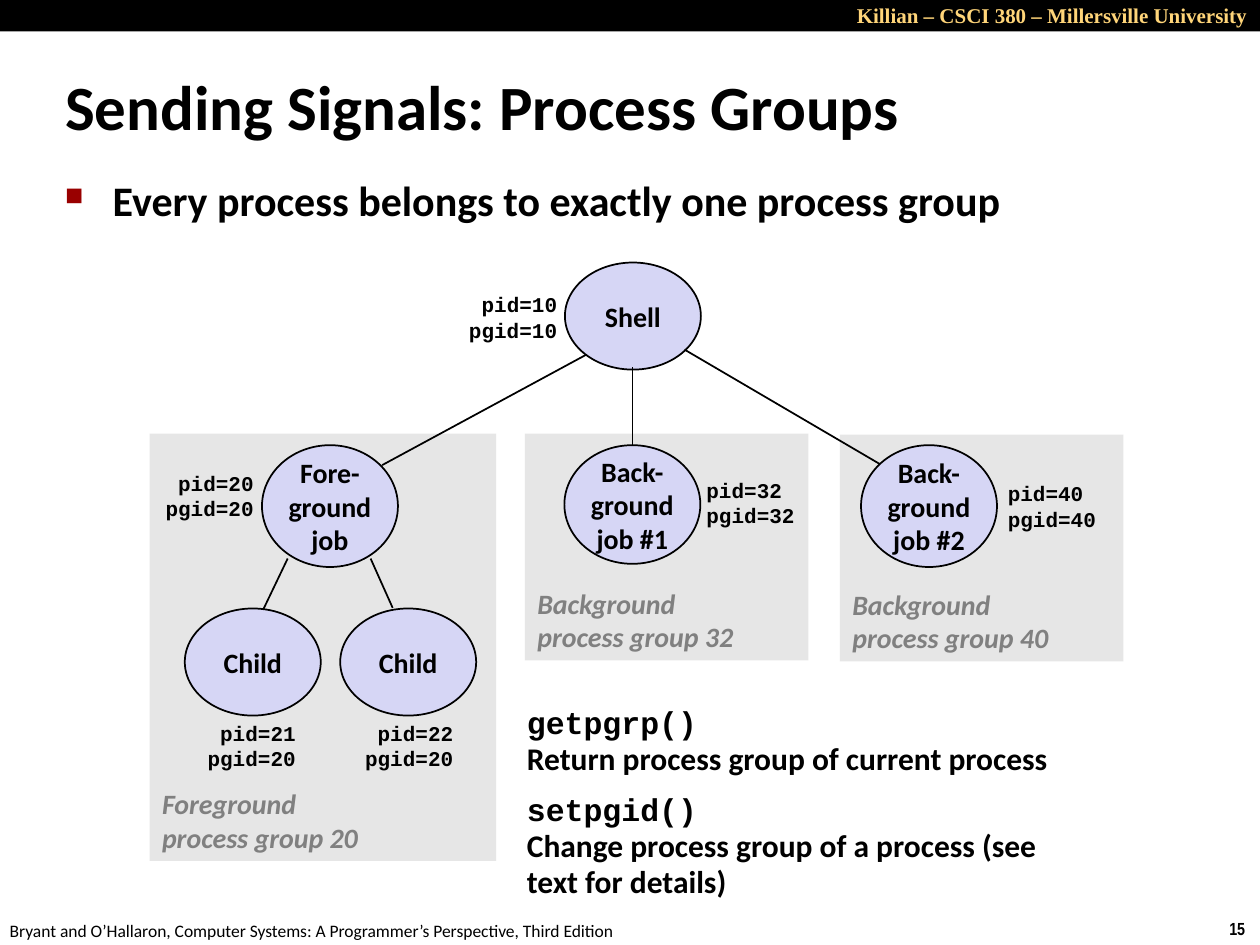
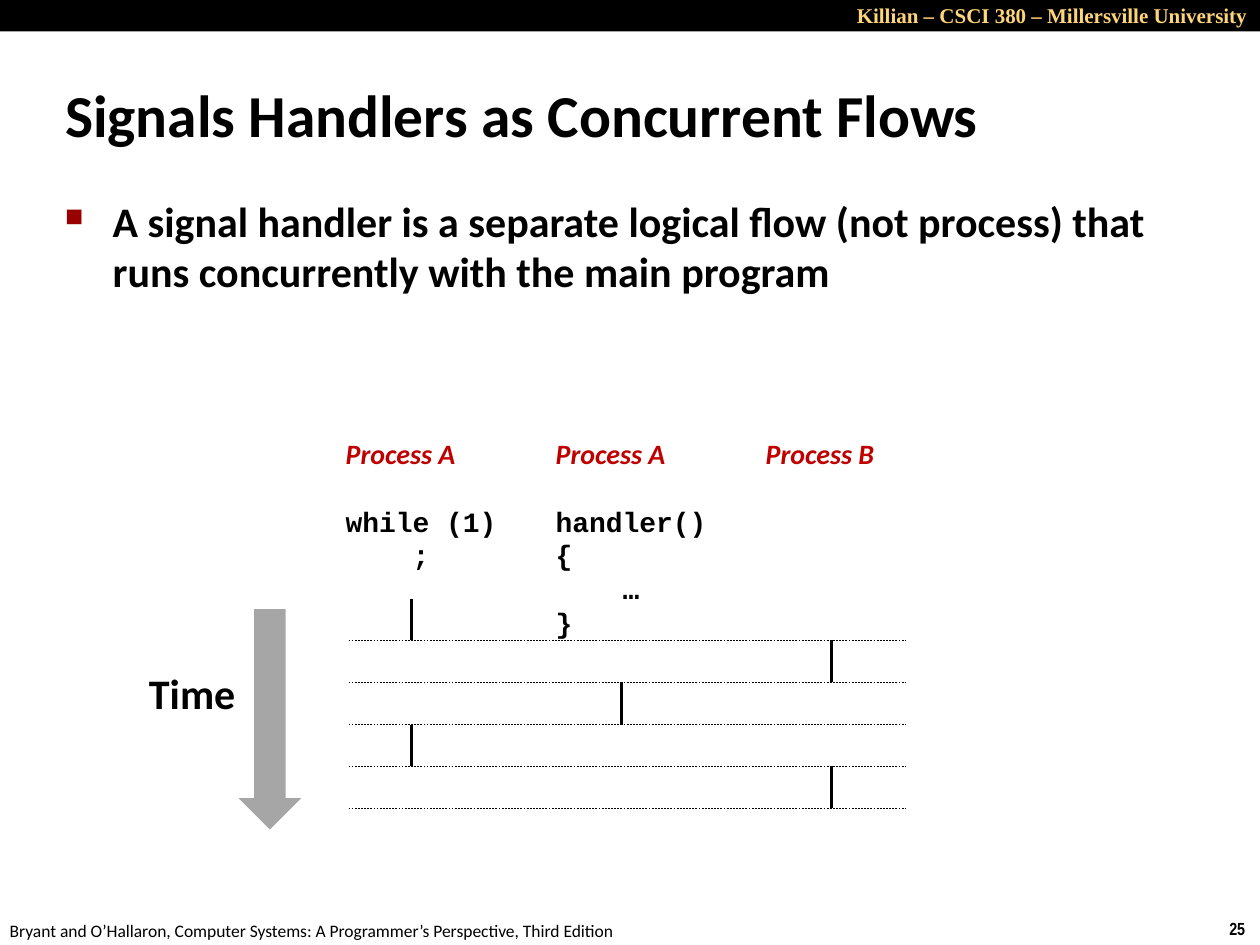
from lxml.etree import SubElement
from pptx import Presentation
from pptx.dml.color import RGBColor
from pptx.enum.dml import MSO_LINE
from pptx.enum.shapes import MSO_CONNECTOR, MSO_SHAPE as Preset
from pptx.enum.text import MSO_ANCHOR as Anchor, PP_ALIGN as Align
from pptx.oxml.ns import qn
from pptx.util import Inches, Pt

COLUMNS, ROWS = 120, 90
WIDTH, HEIGHT = Inches(10), Inches(7.5)
SANS, MONO, SERIF, NARROW = "Calibri", "Courier New", "Times New Roman", "Arial Narrow"
BLACK, GOLD, RED, BULLET_RED = "000000", "FFD579", "C00000", "990000"
LAVENDER, PANEL, GRAY, ARROW_GRAY = "D6D6F5", "E6E6E6", "808080", "A6A6A6"
NODE_WIDTH = 12.95
CAPTION_HEIGHT = 7.7
LANE_ROWS = 4
PROCESS_STEP = 20


def color(value):
    return RGBColor.from_string(value)


def place(*cells):
    sizes = (WIDTH / COLUMNS, HEIGHT / ROWS) * 2
    return [round(cell * size) for cell, size in zip(cells, sizes)]


def add_run(para, text, size, font=SANS, ink=BLACK, bold=True, italic=False):
    span = para.add_run()
    span.text = text
    span.font.name = font
    span.font.size = Pt(size)
    span.font.bold = bold
    span.font.italic = italic
    span.font.color.rgb = color(ink)


def next_para(frame, align=Align.LEFT):
    first = frame.paragraphs[0]
    para = frame.add_paragraph() if first.runs else first
    para.alignment = align
    return para


def add_lines(frame, lines, size, align=Align.LEFT, **style):
    for line in lines:
        add_run(next_para(frame, align), line, size, **style)


def add_box(page, cells, wrap=False, anchor=Anchor.TOP):
    frame = page.shapes.add_textbox(*place(*cells)).text_frame
    frame.word_wrap = wrap
    frame.vertical_anchor = anchor
    return frame


def add_block(page, preset, cells, fill, outline=None):
    shape = page.shapes.add_shape(preset, *place(*cells))
    shape.shadow.inherit = False
    shape.fill.solid()
    shape.fill.fore_color.rgb = color(fill)
    if outline:
        shape.line.color.rgb = color(outline)
        shape.line.width = Pt(1)
    else:
        shape.line.fill.background()
    return shape


def add_line(page, start, end, width=1, dashed=False):
    line = page.shapes.add_connector(MSO_CONNECTOR.STRAIGHT, *place(*start, *end))
    line.line.color.rgb = color(BLACK)
    line.line.width = Pt(width)
    if dashed:
        line.line.dash_style = MSO_LINE.DASH
    SubElement(line._element.spPr, qn("a:effectLst"))


def add_node(page, left, top, height, *lines):
    node = add_block(page, Preset.OVAL, (left, top, NODE_WIDTH, height), LAVENDER, BLACK)
    frame = node.text_frame
    frame.word_wrap = False
    frame.vertical_anchor = Anchor.MIDDLE
    add_lines(frame, lines, 16, Align.CENTER)


def add_ids(page, left, top, pid, pgid, align=Align.RIGHT):
    frame = add_box(page, (left, top, 10.95, 6), anchor=Anchor.MIDDLE)
    add_lines(frame, [f"pid={pid}", f"pgid={pgid}"], 12, align, font=MONO)


def add_group(page, left, top, width, height, kind, number):
    add_block(page, Preset.RECTANGLE, (left, top, width, height), PANEL)
    caption_top = top + height - CAPTION_HEIGHT
    frame = add_box(page, (left, caption_top, width, CAPTION_HEIGHT), anchor=Anchor.MIDDLE)
    add_lines(frame, [kind, f"process group {number}"], 16, ink=GRAY, italic=True)


def add_bullet(page, cells, text):
    para = next_para(add_box(page, cells, wrap=True))
    properties = para._p.get_or_add_pPr()
    indent = Inches(0.38)
    properties.set("marL", str(indent))
    properties.set("indent", str(-indent))
    tint = SubElement(properties, qn("a:buClr"))
    SubElement(tint, qn("a:srgbClr"), val=BULLET_RED)
    SubElement(properties, qn("a:buSzPct"), val="60000")
    SubElement(properties, qn("a:buChar"), char="■")
    add_run(para, text, 24)


def add_page(deck, title, title_top, title_size, number):
    page = deck.slides.add_slide(deck.slide_layouts[5])
    add_block(page, Preset.RECTANGLE, (0, 0, COLUMNS, 3), BLACK)
    header = add_box(page, (79, -0.35, 41, 3.6), wrap=True)
    add_lines(header, ["Killian – CSCI 380 – Millersville University"], 12,
              Align.RIGHT, font=SERIF, ink=GOLD)
    add_lines(add_box(page, (115.9, 86.8, 4.1, 3.2)), [str(number)], 10, font=NARROW)
    add_lines(add_box(page, (-0.25, 87, 61, 3.2)),
              ["Bryant and O’Hallaron, Computer Systems: A Programmer’s Perspective, Third Edition"],
              10, bold=False)
    heading = page.shapes.title
    heading.left, heading.top, heading.width, heading.height = place(5, title_top, 99.6, 10)
    heading.text_frame.vertical_anchor = Anchor.MIDDLE
    add_lines(heading.text_frame, [title], title_size)
    return page


def add_functions(page, cells, functions):
    frame = add_box(page, cells, wrap=True)
    for index, (name, meaning) in enumerate(functions):
        para = next_para(frame)
        para.line_spacing = 0.95
        if index:
            para.space_before = Pt(9)
        add_run(para, name, 18, font=MONO)
        para.add_line_break()
        add_run(para, meaning, 18)


def add_process(page, left, name, code):
    frame = add_box(page, (left, 41, 18, 4.5 + 3.2 * len(code)))
    add_lines(frame, [name], 16, ink=RED, italic=True)
    add_lines(frame, code, 16, font=MONO)
    if code:
        frame.paragraphs[1].space_before = Pt(19.5)


def build_process_groups(deck):
    page = add_page(deck, "Sending Signals: Process Groups", 5, 36, 15)
    add_bullet(page, (5, 16, 101.3, 8), "Every process belongs to exactly one process group")

    add_group(page, 14.25, 41.3, 33, 40.7, "Foreground", 20)
    add_group(page, 50, 41.3, 27, 21.6, "Background", 32)
    add_group(page, 80, 41.4, 27, 21.6, "Background", 40)

    add_node(page, 53.8, 25, 10.2, "Shell")
    add_node(page, 24.95, 42.4, 11.6, "Fore-", "ground", "job")
    add_node(page, 53.75, 42.4, 11.3, "Back-", "ground", "job #1")
    add_node(page, 82, 42.4, 11.6, "Back-", "ground", "job #2")
    for left in (17.6, 32.4):
        add_node(page, left, 57.95, 10.2, "Child")

    for start, end in [
        ((27.4, 53.2), (25.1, 58)),
        ((35.3, 53.2), (37.4, 57.9)),
        ((60.25, 35), (60.25, 42.4)),
        ((55.8, 33.8), (36.4, 44.3)),
        ((65.2, 33.3), (83.8, 44.2)),
    ]:
        add_line(page, start, end)

    add_ids(page, 43.3, 27.2, 10, 10)
    add_ids(page, 14.4, 44.2, 20, 20)
    add_ids(page, 66.1, 44.9, 32, 32, Align.LEFT)
    add_ids(page, 94.8, 45.2, 40, 40, Align.LEFT)
    add_ids(page, 18.4, 68, 21, 20)
    add_ids(page, 33.4, 68, 22, 20)

    add_functions(page, (49, 66.6, 54, 20.4), [
        ("getpgrp()", "Return process group of current process"),
        ("setpgid()", "Change process group of a process (see text for details)"),
    ])


def build_concurrent_flows(deck):
    page = add_page(deck, "Signals Handlers as Concurrent Flows", 5.8, 34, 25)
    add_bullet(page, (5, 18, 109, 17),
               "A signal handler is a separate logical flow (not process) that "
               "runs concurrently with the main program")

    processes = [
        ("Process A", ["while (1)", "    ;"]),
        ("Process A", ["handler(){", "    …", "}"]),
        ("Process B", []),
    ]
    for index, (name, code) in enumerate(processes):
        add_process(page, 31.75 + index * PROCESS_STEP, name, code)

    running = [0, 2, 1, 0, 2]
    for lane, process in enumerate(running):
        top = 57 + lane * LANE_ROWS
        bottom = top + LANE_ROWS
        column = 39.2 + process * PROCESS_STEP
        add_line(page, (column, top), (column, bottom), width=2)
        add_line(page, (33.2, bottom), (86.2, bottom), width=0.25, dashed=True)

    add_lines(add_box(page, (13, 63, 10.7, 6)), ["Time"], 24)
    add_block(page, Preset.DOWN_ARROW, (22.7, 58, 6, 21), ARROW_GRAY)


def main():
    deck = Presentation()
    deck.slide_width, deck.slide_height = WIDTH, HEIGHT
    build_process_groups(deck)
    build_concurrent_flows(deck)
    deck.save("out.pptx")


if __name__ == "__main__":
    main()
